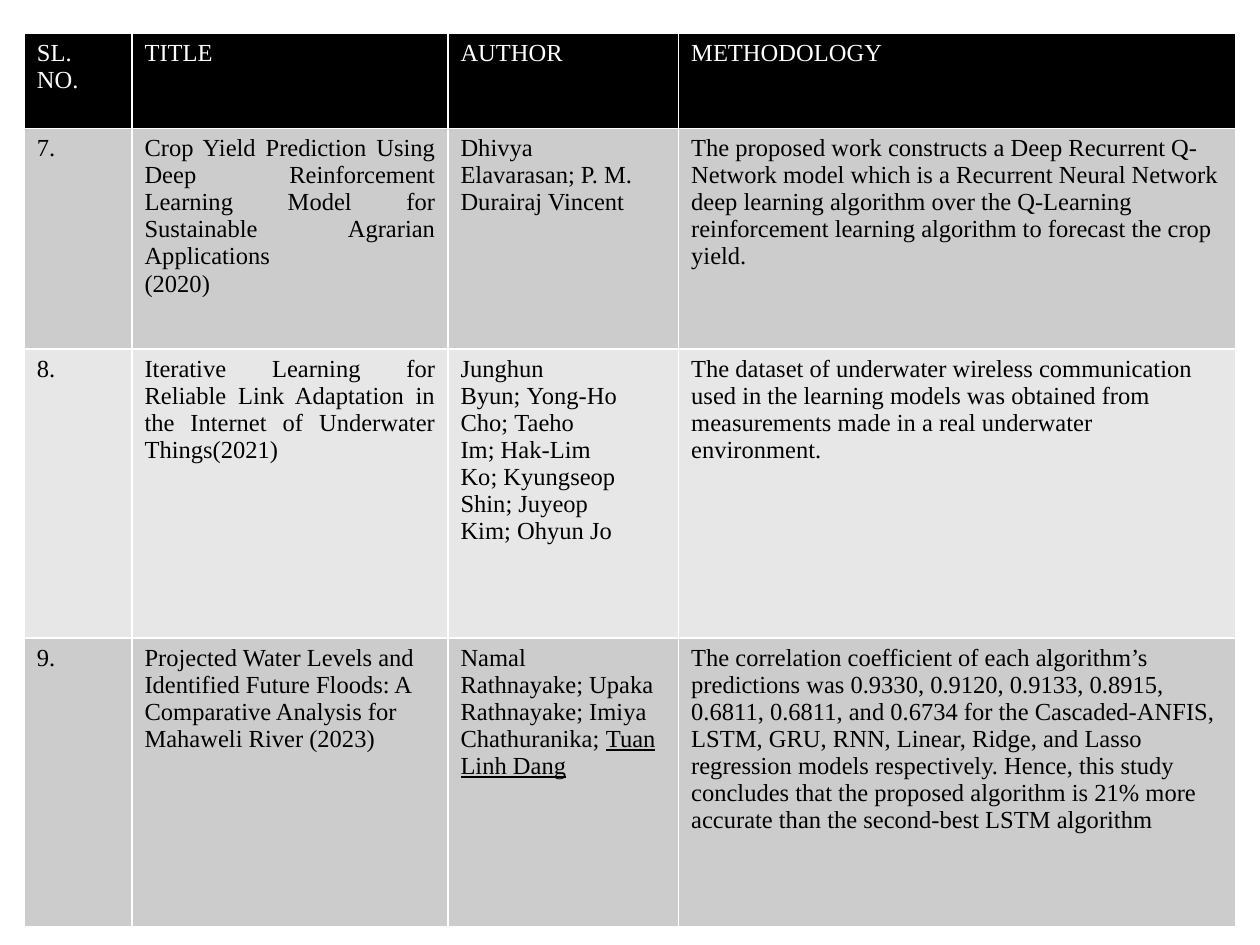
from pptx import Presentation
from pptx.dml.color import RGBColor
from pptx.enum.text import PP_ALIGN
from pptx.util import Cm, Pt

BLACK = RGBColor(0x00, 0x00, 0x00)
WHITE = RGBColor(0xFF, 0xFF, 0xFF)
DARK = RGBColor(0xCC, 0xCC, 0xCC)
LIGHT = RGBColor(0xE7, 0xE7, 0xE7)


def put(par, text, color=BLACK, line=False, align=None):
    run = par.add_run()
    run.text = text.replace("; ", ";" + chr(160))
    font = run.font
    font.name = "Times New Roman"
    font.size = Pt(14)
    font.bold = False
    font.underline = line
    font.color.rgb = color
    if align is not None:
        par.alignment = align


heads = ["SL. NO.", "TITLE", "AUTHOR", "METHODOLOGY"]
papers = [
    ["7.",
     "Crop Yield Prediction Using Deep Reinforcement Learning Model for "
     "Sustainable Agrarian Applications",
     "Dhivya Elavarasan; P. M. Durairaj Vincent",
     "The proposed work constructs a Deep Recurrent Q-Network model which is a "
     "Recurrent Neural Network deep learning algorithm over the Q-Learning "
     "reinforcement learning algorithm to forecast the crop yield."],
    ["8.",
     "Iterative Learning for Reliable Link Adaptation in the Internet of "
     "Underwater Things(2021)",
     "Junghun Byun; Yong-Ho Cho; Taeho Im; Hak-Lim Ko; Kyungseop Shin; "
     "Juyeop Kim; Ohyun Jo",
     "The dataset of underwater wireless communication used in the learning "
     "models was obtained from measurements made in a real underwater "
     "environment."],
    ["9.",
     "Projected Water Levels and Identified Future Floods: A Comparative "
     "Analysis for Mahaweli River (2023)",
     "Namal Rathnayake; Upaka Rathnayake; Imiya Chathuranika; ",
     "The correlation coefficient of each algorithm’s predictions was 0.9330, "
     "0.9120, 0.9133, 0.8915, 0.6811, 0.6811, and 0.6734 for the "
     "Cascaded-ANFIS, LSTM, GRU, RNN, Linear, Ridge, and Lasso regression "
     "models respectively. Hence, this study concludes that the proposed "
     "algorithm is 21% more accurate than the second-best LSTM algorithm"],
]
wide = [2.17, 6.37, 4.65, 11.23]
high = [1.92, 4.45, 5.82, 5.82]
fills = [BLACK, DARK, LIGHT, DARK]
even = [(1, 1), (2, 1), (2, 2)]

deck = Presentation()
deck.slide_width = Cm(25.4)
deck.slide_height = Cm(19.05)
slide = deck.slides.add_slide(deck.slide_layouts[6])

frame = slide.shapes.add_table(
    len(high), len(wide), Cm(0.49), Cm(0.67), Cm(sum(wide)), Cm(sum(high)))
table = frame.table
for col, width in zip(table.columns, wide):
    col.width = Cm(width)
for row, height in zip(table.rows, high):
    row.height = Cm(height)

for r, texts in enumerate([heads] + papers):
    for c, text in enumerate(texts):
        cell = table.cell(r, c)
        cell.fill.solid()
        cell.fill.fore_color.rgb = fills[r]
        put(cell.text_frame.paragraphs[0], text,
            color=BLACK if r else WHITE,
            align=PP_ALIGN.JUSTIFY if (r, c) in even else None)

put(table.cell(1, 1).text_frame.add_paragraph(), "(2020)")
put(table.cell(3, 2).text_frame.paragraphs[0], "Tuan Linh Dang", line=True)

deck.save("out.pptx")
